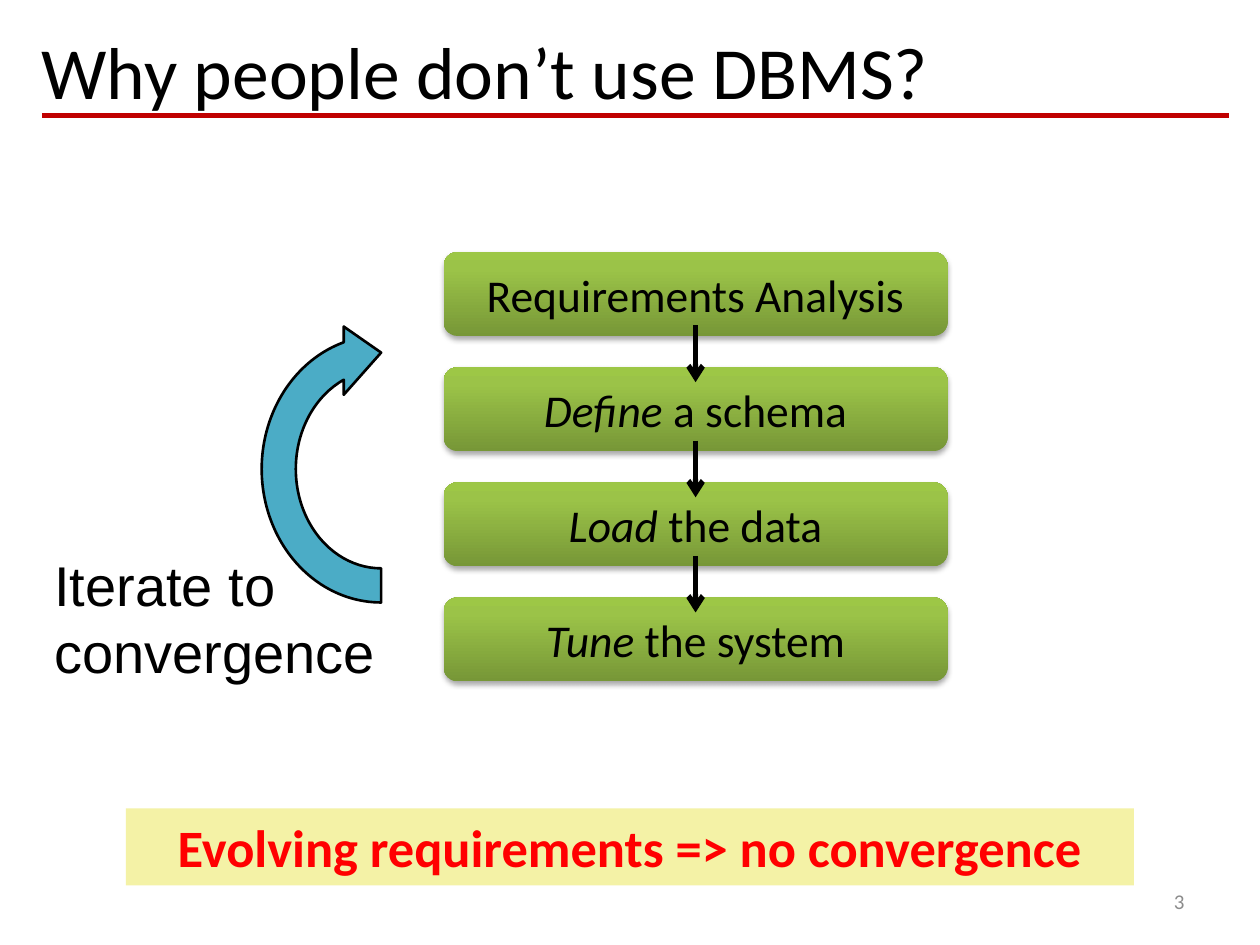
from dataclasses import dataclass

from lxml.etree import SubElement
from pptx import Presentation
from pptx.dml.color import RGBColor as RGB
from pptx.enum.shapes import MSO_CONNECTOR as Link, MSO_SHAPE as Kind
from pptx.enum.text import MSO_ANCHOR as Anchor, MSO_AUTO_SIZE as Fit, PP_ALIGN as Align
from pptx.oxml import parse_xml
from pptx.oxml.ns import nsdecls, qn
from pptx.util import Pt

HEX = {
    "black": "000000", "rule": "C00000", "grey": "8C8C8C", "red": "FF0000",
    "cream": "F4F2A6", "teal": "4BACC6",
    "dark": "779737", "mid": "9BC348", "light": "9DC746",
}


@dataclass
class Step:
    verb: str  # set in italics
    rest: str


STEPS = [
    Step("", "Requirements Analysis"),
    Step("Define", " a schema"),
    Step("Load", " the data"),
    Step("Tune", " the system"),
]
LEFT, TOP, WIDE, HIGH, PITCH = 253.5, 144, 288, 48, 65.8


def tint(name: str) -> RGB:
    return RGB.from_string(HEX[name])


def style(run, size: float, color: str = "black", face: str = "Calibri") -> None:
    run.font.size, run.font.name = Pt(size), face
    run.font.color.rgb = tint(color)


def write(shape, text: str, size: float, color: str = "black", face: str = "Calibri",
          align=Align.LEFT, anchor=Anchor.TOP):
    frame = shape.text_frame
    frame.word_wrap, frame.auto_size = True, Fit.NONE
    frame.vertical_anchor = anchor
    frame.text = text
    para = frame.paragraphs[0]
    para.alignment = align
    style(para.runs[0], size, color, face)
    return para.runs[0]


def add_box(slide, x: float, y: float, w: float, h: float):
    return slide.shapes.add_textbox(Pt(x), Pt(y), Pt(w), Pt(h))


def add_line(slide, x1: float, y1: float, x2: float, y2: float,
             color: str, width: float, head: bool = False) -> None:
    line = slide.shapes.add_connector(Link.STRAIGHT, Pt(x1), Pt(y1), Pt(x2), Pt(y2))
    line.line.color.rgb, line.line.width = tint(color), Pt(width)
    if head:
        SubElement(line.line._get_or_add_ln(), qn("a:tailEnd"), type="arrow")
    SubElement(line._element.spPr, qn("a:effectLst"))


def add_shape(slide, kind, x: float, y: float, w: float, h: float, color: str):
    shape = slide.shapes.add_shape(kind, Pt(x), Pt(y), Pt(w), Pt(h))
    shape.shadow.inherit = False
    shape.fill.solid()
    shape.fill.fore_color.rgb = tint(color)
    shape.line.fill.background()
    return shape


def shade(shape) -> None:
    """Give a step its green gradient and soft shadow."""
    stops = "".join(
        f'<a:gs pos="{pos}"><a:srgbClr val="{HEX[name]}"/></a:gs>'
        for pos, name in ((0, "dark"), (80000, "mid"), (100000, "light")))
    props = shape._element.spPr
    props.replace(props.find(qn("a:solidFill")), parse_xml(
        f'<a:gradFill {nsdecls("a")} rotWithShape="1"><a:gsLst>{stops}</a:gsLst>'
        '<a:lin ang="16200000" scaled="0"/></a:gradFill>'))
    props.find(qn("a:effectLst")).append(parse_xml(
        f'<a:outerShdw {nsdecls("a")} blurRad="{Pt(3.1)}" dist="{Pt(1.8)}" '
        f'dir="5400000" rotWithShape="0"><a:srgbClr val="{HEX["black"]}">'
        '<a:alpha val="35000"/></a:srgbClr></a:outerShdw>'))


def add_step(slide, step: Step, y: float) -> None:
    box = add_shape(slide, Kind.ROUNDED_RECTANGLE, LEFT, y, WIDE, HIGH, "mid")
    shade(box)
    run = write(box, step.verb or step.rest, 26, align=Align.CENTER, anchor=Anchor.MIDDLE)
    if step.verb:
        run.font.italic = True
        rest = box.text_frame.paragraphs[0].add_run()
        rest.text = step.rest
        style(rest, 26)


def main() -> None:
    deck = Presentation()
    deck.slide_width, deck.slide_height = Pt(720), Pt(540)
    slide = deck.slides.add_slide(deck.slide_layouts[5])

    # Title and rule
    title = slide.shapes.title
    title.left, title.top, title.width, title.height = Pt(16.5), Pt(11.5), Pt(692), Pt(90)
    write(title, "Why people don’t use DBMS?", 42)
    add_line(slide, 24, 66, 702.5, 66, "rule", 2.5)

    # Steps, then the arrows over them
    tops = [TOP + i * PITCH for i in range(len(STEPS))]
    for step, y in zip(STEPS, tops):
        add_step(slide, step, y)
    mid = LEFT + WIDE / 2
    for y in tops[:-1]:
        add_line(slide, mid, y + 42, mid, y + 74.4, "black", 3, head=True)

    # Loop back
    loop = add_shape(slide, Kind.CIRCULAR_ARROW, 131.8, 190, 172, 156, "teal")
    loop.rotation = 270
    loop.line.color.rgb, loop.line.width = tint("black"), Pt(1.5)
    write(add_box(slide, 24, 311, 204, 85), "Iterate to convergence", 32, face="Arial")

    # Conclusion
    banner = add_shape(slide, Kind.RECTANGLE, 72, 462, 576, 44, "cream")
    run = write(banner, "Evolving requirements => no convergence", 30, "red",
                align=Align.CENTER, anchor=Anchor.MIDDLE)
    run.font.bold = True

    # Page number
    write(add_box(slide, 516, 500.5, 168, 28.8), "3", 12, "grey",
          align=Align.RIGHT, anchor=Anchor.MIDDLE)

    deck.save("out.pptx")


if __name__ == "__main__":
    main()
